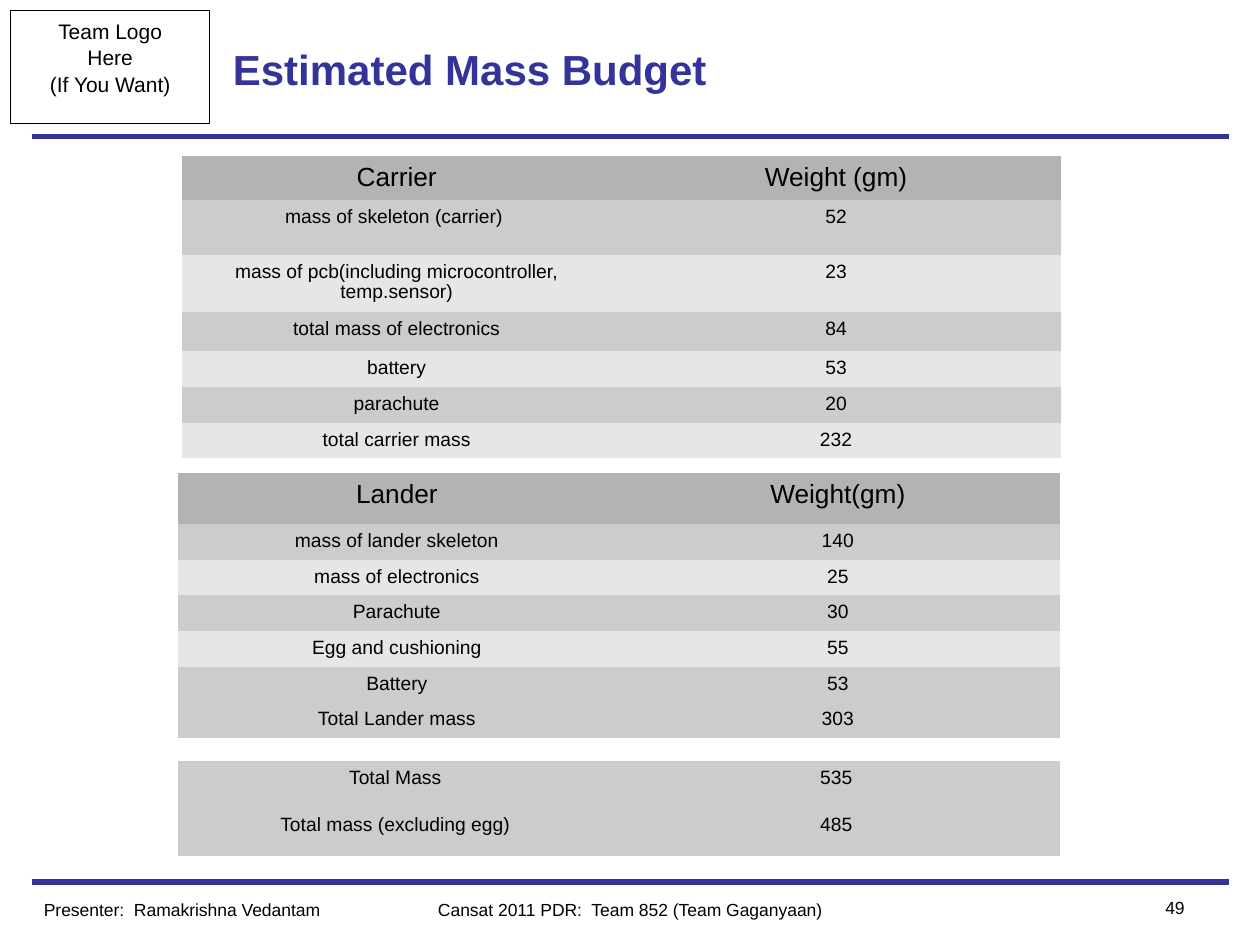
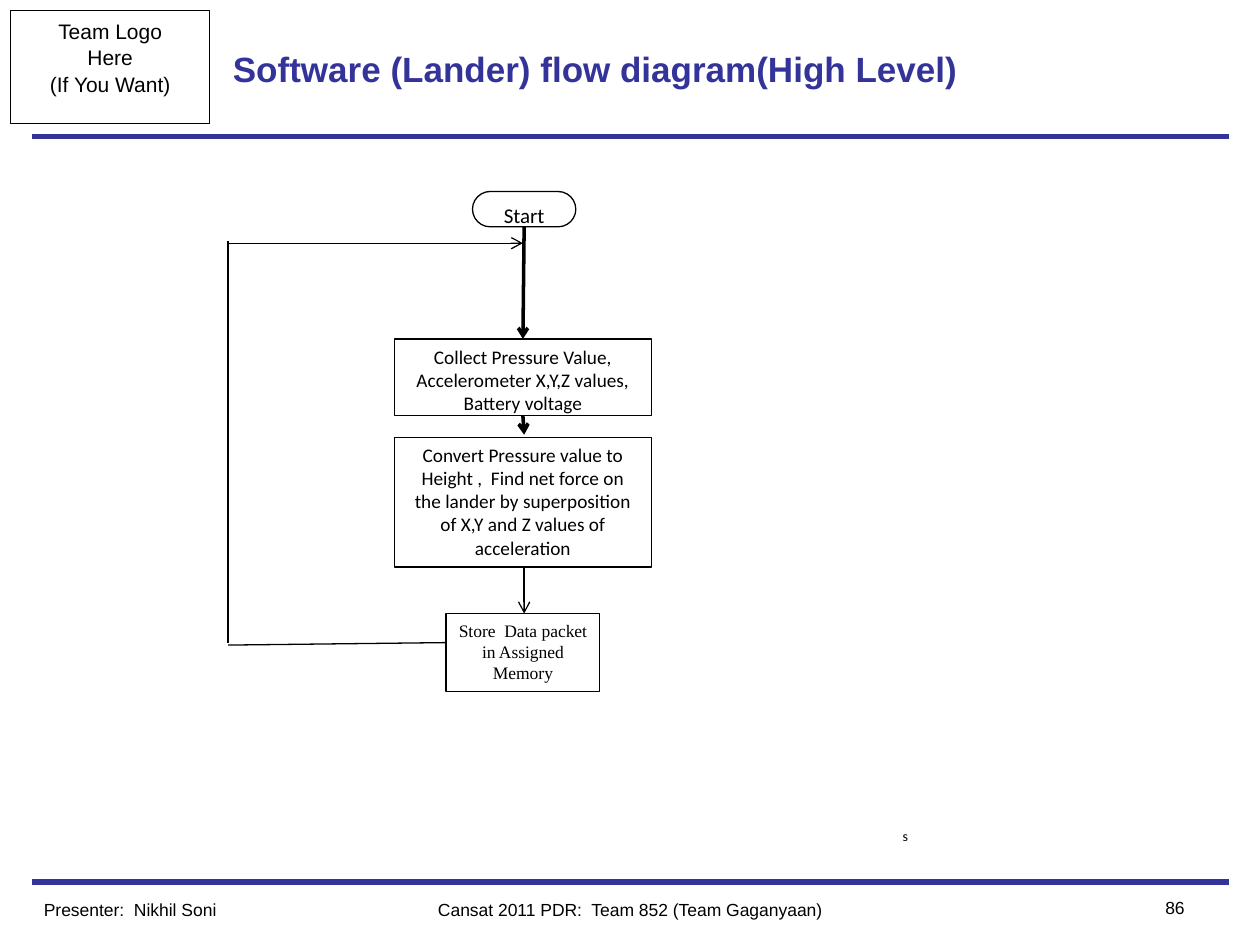
from typing import NamedTuple

from lxml.etree import SubElement
from pptx import Presentation
from pptx.dml.color import RGBColor
from pptx.enum.shapes import MSO_CONNECTOR, MSO_SHAPE
from pptx.enum.text import MSO_ANCHOR, PP_ALIGN
from pptx.oxml.ns import qn
from pptx.util import Inches, Pt

WIDE, HIGH = Inches(10), Inches(7.5)
COLS, ROWS = 120, 90  # grid cells across and down the slide

NAVY = RGBColor(0x33, 0x33, 0x99)
BLACK = RGBColor(0x00, 0x00, 0x00)
WHITE = RGBColor(0xFF, 0xFF, 0xFF)
HEAD = RGBColor(0xB3, 0xB3, 0xB3)
DARK = RGBColor(0xCC, 0xCC, 0xCC)
LIGHT = RGBColor(0xE6, 0xE6, 0xE6)

EVENT = "Cansat 2011 PDR:  Team 852 (Team Gaganyaan)"
LOOP = 21.72  # column of the line that loops back to the start
MID = 49.92  # column of the main flow


class Area(NamedTuple):
    x: float
    y: float
    w: float
    h: float


class Budget(NamedTuple):
    """A mass table: corner, column widths, row heights, row fills, cells."""
    x: float
    y: float
    cols: tuple
    highs: tuple
    fills: tuple
    cells: tuple


class Step(NamedTuple):
    text: str
    area: Area
    size: float = 11
    face: str = "Calibri"
    edge: RGBColor = BLACK
    kind: int = MSO_SHAPE.RECTANGLE


class Link(NamedTuple):
    start: tuple
    end: tuple
    arrow: bool = False
    width: float = 0.75


BUDGETS = (
    Budget(17.33, 14.86, (40.9, 42.8),
           (4.2, 5.24, 5.43, 3.7, 3.4, 3.4, 3.4),
           (HEAD,) + (DARK, LIGHT) * 3,
           (("Carrier", "Weight (gm)"),
            ("mass of skeleton (carrier) ", "52"),
            ("mass of pcb(including microcontroller, temp.sensor)", "23"),
            ("total mass of electronics", "84"),
            ("battery", "53"),
            ("parachute", "20"),
            ("total carrier mass", "232"))),
    Budget(17, 45.05, (41.6, 42.4),
           (4.86,) + (3.4,) * 6,
           (HEAD,) + (DARK, LIGHT) * 2 + (DARK,) * 2,
           (("Lander", "Weight(gm)"),
            ("mass of lander skeleton", "140"),
            ("mass of electronics", "25"),
            ("Parachute", "30"),
            ("Egg and cushioning", "55"),
            ("Battery", "53"),
            ("Total Lander mass", "303"))),
    Budget(17, 72.48, (41.3, 42.7), (4.52,) * 2, (DARK,) * 2,
           (("Total Mass", "535"),
            ("Total mass (excluding egg)", "485"))),
)

STEPS = (
    Step("Start", Area(45, 18.24, 9.84, 3.36), 12,
         kind=MSO_SHAPE.ROUNDED_RECTANGLE),
    Step("Collect Pressure Value, Accelerometer X,Y,Z values, "
         "Battery voltage", Area(37.56, 32.28, 24.48, 7.32)),
    Step("s", Area(83.52, 78.24, 5.4, 2.52), 8, edge=WHITE),
    Step("Store  Data packet in Assigned Memory",
         Area(42.48, 58.44, 14.64, 7.44), 10, "Times New Roman"),
    Step("Convert Pressure value to Height ,  Find net force on the lander "
         "by superposition of X,Y and Z values of acceleration",
         Area(37.56, 41.64, 24.48, 12.36)),
)

LINKS = (
    Link((42.48, 61.2), (LOOP, 61.44)),
    Link((MID, 50.88), (MID, 58.44), True),
    Link((LOOP, 61.2), (LOOP, 22.92)),
    Link((LOOP, 23.16), (49.8, 23.16), True),
    Link((49.8, 39.6), (MID, 41.4), True, 0),
    Link((MID, 21.6), (49.8, 32.28), True, 0),
)


def across(cells: float) -> int:
    return round(WIDE * cells / COLS)


def down(cells: float) -> int:
    return round(HIGH * cells / ROWS)


def place(area: Area) -> tuple:
    return across(area.x), down(area.y), across(area.w), down(area.h)


def write(frame, text: str, *, size: float = 10, face: str = "Arial",
          color: RGBColor = BLACK, bold: bool = False,
          align: int = PP_ALIGN.LEFT, lead: float = 1.0) -> None:
    """Fill a text frame, one paragraph for each line of the text."""
    for spot, line in enumerate(text.split("\n")):
        para = frame.paragraphs[0] if spot == 0 else frame.add_paragraph()
        para.alignment = align
        para.line_spacing = lead
        run = para.add_run()
        run.text = line
        run.font.size = Pt(size)
        run.font.name = face
        run.font.bold = bold
        run.font.color.rgb = color


def label(slide, text: str, area: Area, anchor: int = MSO_ANCHOR.TOP,
          **style) -> None:
    frame = slide.shapes.add_textbox(*place(area)).text_frame
    frame.word_wrap = True
    frame.vertical_anchor = anchor
    write(frame, text, **style)


def block(slide, text: str, area: Area, *, kind: int = MSO_SHAPE.RECTANGLE,
          edge: RGBColor = BLACK, width: float = 0.75, wrap: bool = True,
          **style) -> None:
    """Draw a white outlined shape with centred text at its top."""
    shape = slide.shapes.add_shape(kind, *place(area))
    shape.shadow.inherit = False
    shape.fill.solid()
    shape.fill.fore_color.rgb = WHITE
    shape.line.color.rgb = edge
    shape.line.width = Pt(width)
    if kind == MSO_SHAPE.ROUNDED_RECTANGLE:
        shape.adjustments[0] = 0.5
    frame = shape.text_frame
    frame.word_wrap = wrap
    frame.vertical_anchor = MSO_ANCHOR.TOP
    write(frame, text, align=PP_ALIGN.CENTER, **style)


def rule(slide, link: Link, color: RGBColor = BLACK) -> None:
    (left, top), (right, base) = link.start, link.end
    line = slide.shapes.add_connector(
        MSO_CONNECTOR.STRAIGHT, across(left), down(top),
        across(right), down(base))
    line.line.color.rgb = color
    line.line.width = Pt(link.width)
    if link.arrow:
        SubElement(line.line._get_or_add_ln(), qn("a:tailEnd"), type="arrow")
    SubElement(line._element.spPr, qn("a:effectLst"))


def border(cell) -> None:
    """Give a cell hairline white borders in place of the style's own."""
    props = cell._tc.get_or_add_tcPr()
    for spot, side in enumerate(("lnL", "lnR", "lnT", "lnB")):
        line = SubElement(props, qn(f"a:{side}"), w="381")
        fill = SubElement(line, qn("a:solidFill"))
        SubElement(fill, qn("a:srgbClr"), val=str(WHITE))
        props.insert(spot, line)


def tabulate(slide, plan: Budget) -> None:
    area = Area(plan.x, plan.y, sum(plan.cols), sum(plan.highs))
    table = slide.shapes.add_table(
        len(plan.highs), len(plan.cols), *place(area)).table
    table.first_row = table.horz_banding = False
    for spot, wide in enumerate(plan.cols):
        table.columns[spot].width = across(wide)
    for row, (high, fill, texts) in enumerate(
            zip(plan.highs, plan.fills, plan.cells)):
        table.rows[row].height = down(high)
        top = fill == HEAD
        for col, text in enumerate(texts):
            cell = table.cell(row, col)
            cell.margin_top = Inches(0.07 if top else 0.06)
            cell.fill.solid()
            cell.fill.fore_color.rgb = fill
            border(cell)
            write(cell.text_frame, text, size=15 if top else 11,
                  align=PP_ALIGN.CENTER, lead=0.93)


def start(deck, title: str, size: float, name: str, page: int):
    """Add a slide with the shared rules, logo box, title and footer."""
    slide = deck.slides.add_slide(deck.slide_layouts[6])
    for row in (84, 13):
        rule(slide, Link((3, row), (117, row), width=3), NAVY)
    block(slide, "Team Logo\nHere\n(If You Want)", Area(1, 1, 19, 10.8),
          width=0.5, wrap=False, size=12, lead=1.06)
    label(slide, title, Area(21, 1, 78, 11), MSO_ANCHOR.MIDDLE,
          size=size, color=NAVY, bold=True)
    label(slide, f"Presenter:  {name}", Area(3, 85, 30, 3.2))
    label(slide, EVENT, Area(36, 85, 48, 3.2), align=PP_ALIGN.CENTER)
    label(slide, str(page), Area(105, 84.8, 9, 3.2), align=PP_ALIGN.RIGHT)
    return slide


def main() -> None:
    deck = Presentation()
    deck.slide_width, deck.slide_height = WIDE, HIGH

    mass = start(deck, "Estimated Mass Budget", 24, "Ramakrishna Vedantam", 49)
    for plan in BUDGETS:
        tabulate(mass, plan)

    flow = start(deck, "Software (Lander) flow diagram(High Level)", 20,
                 "Nikhil Soni", 86)
    for link in LINKS:
        rule(flow, link)
    for step in STEPS:
        block(flow, step.text, step.area, kind=step.kind, edge=step.edge,
              size=step.size, face=step.face)

    deck.save("out.pptx")


if __name__ == "__main__":
    main()
